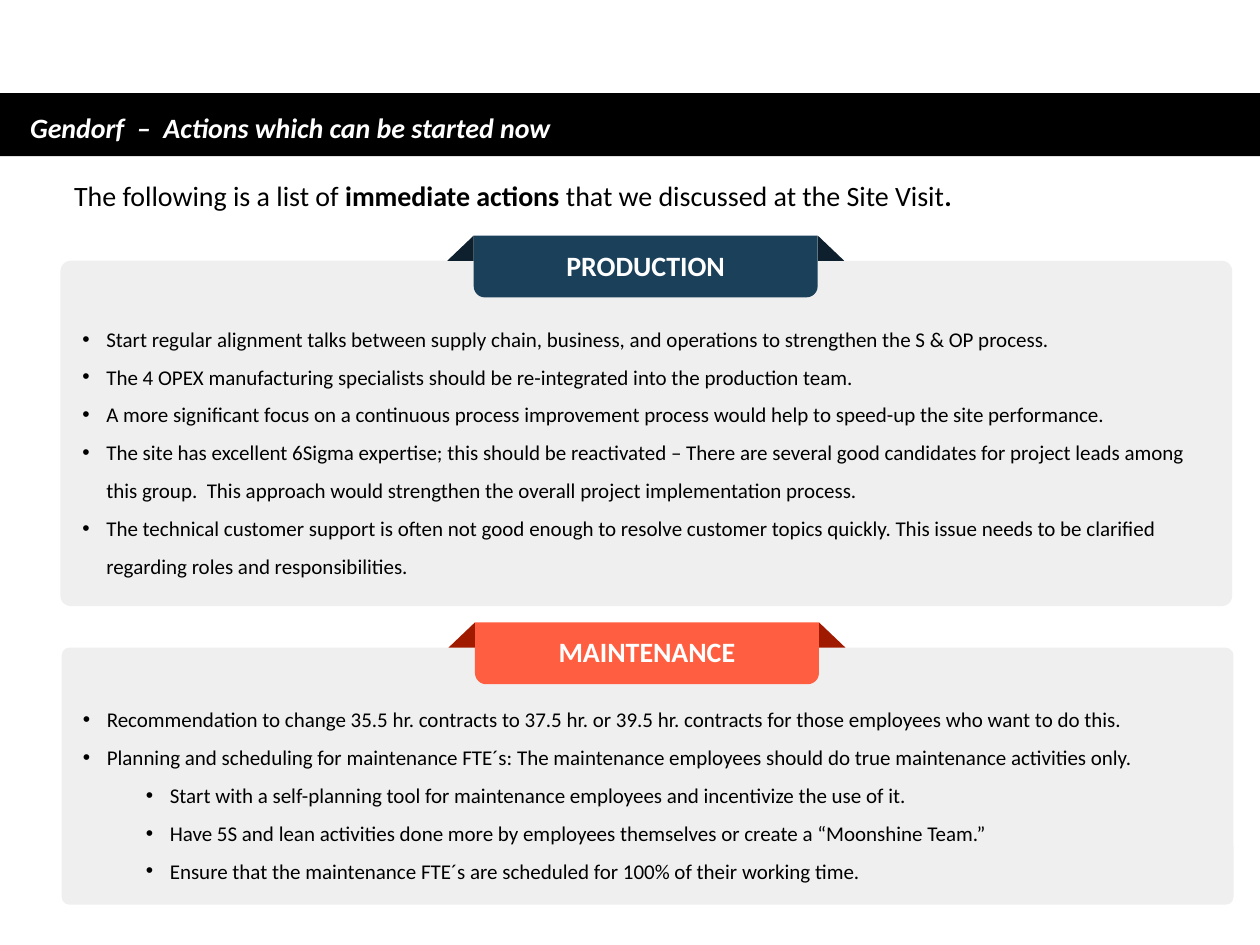
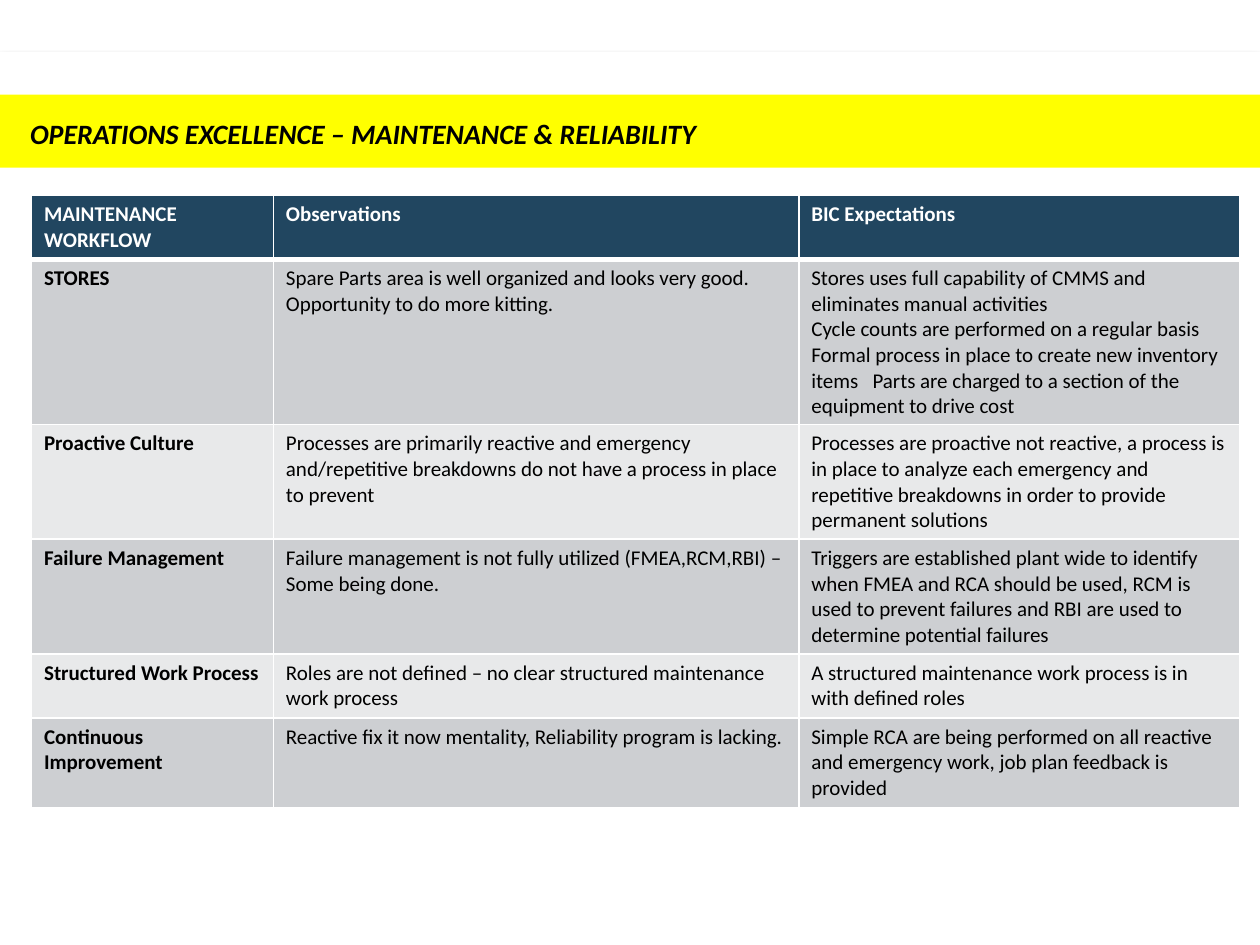
from lxml import etree
from pptx import Presentation
from pptx.dml.color import RGBColor
from pptx.enum.shapes import MSO_SHAPE
from pptx.enum.text import MSO_ANCHOR, PP_ALIGN
from pptx.oxml.ns import qn
from pptx.util import Inches, Pt

FONT = "Calibri"
BLACK = RGBColor(0x00, 0x00, 0x00)
WHITE = RGBColor(0xFF, 0xFF, 0xFF)
YELLOW = RGBColor(0xFF, 0xFF, 0x00)
CARD_GREY = RGBColor(0xEF, 0xEF, 0xEF)
NAVY = RGBColor(0x1B, 0x40, 0x5A)
NAVY_FOLD = RGBColor(0x0E, 0x20, 0x2D)
CORAL = RGBColor(0xFF, 0x5F, 0x40)
CORAL_FOLD = RGBColor(0xA0, 0x1A, 0x00)
HEADER_BLUE = RGBColor(0x21, 0x46, 0x60)
ROW_DARK = RGBColor(0xCD, 0xCF, 0xD2)
ROW_LIGHT = RGBColor(0xE8, 0xE9, 0xEA)


def add_block(shapes, preset, left, top, width, height, color):
    """Add a flat, unlined preset shape."""
    block = shapes.add_shape(preset, Inches(left), Inches(top), Inches(width), Inches(height))
    block.shadow.inherit = False
    block.fill.solid()
    block.fill.fore_color.rgb = color
    block.line.fill.background()
    return block


def style(para, size, color, bold=False, italic=False):
    """Set the font of a whole paragraph."""
    para.font.name = FONT
    para.font.size = Pt(size)
    para.font.color.rgb = color
    para.font.bold = bold
    para.font.italic = italic


deck = Presentation()
deck.slide_width = Inches(10)
deck.slide_height = Inches(7.5)
actions_page, table_page = [deck.slides.add_slide(deck.slide_layouts[6]) for _ in range(2)]

# White panel with a soft shadow behind the table page
panel = add_block(table_page.shapes, MSO_SHAPE.RECTANGLE, 0, 0.42, 10, 7.07, WHITE)
panel.line.color.rgb = WHITE
panel.line.width = Pt(1)
effects = panel._element.spPr.find(qn("a:effectLst"))
shadow = etree.SubElement(effects, qn("a:outerShdw"), blurRad=str(Pt(4)), dist=str(Pt(3)),
                          dir="5400000", rotWithShape="0")
shade = etree.SubElement(shadow, qn("a:srgbClr"), val=str(BLACK))
etree.SubElement(shade, qn("a:alpha"), val="40000")

# Title bands
titles = [
    (actions_page, "Gendorf  –  Actions which can be started now", 0.74, 0.5, 0.83, BLACK, WHITE),
    (table_page, "OPERATIONS EXCELLENCE – MAINTENANCE & RELIABILITY", 0.75, 0.58, 0.88, YELLOW, BLACK),
]
for page, title, band_top, band_height, title_top, band_color, title_color in titles:
    add_block(page.shapes, MSO_SHAPE.RECTANGLE, 0, band_top, 10, band_height, band_color)
    box = page.shapes.add_textbox(Inches(0.14), Inches(title_top), Inches(9.17), Inches(0.37))
    box.text_frame.word_wrap = True
    para = box.text_frame.paragraphs[0]
    para.text = title
    style(para, 16, title_color, bold=True, italic=True)

# Lead sentence
box = actions_page.shapes.add_textbox(Inches(0.49), Inches(1.37), Inches(8.46), Inches(0.37))
box.text_frame.word_wrap = True
para = box.text_frame.paragraphs[0]
style(para, 16, BLACK)
for text, bold in [
    ("The following is a list of ", False),
    ("immediate actions ", True),
    ("that we discussed at the Site Visit", False),
    (".", True),
]:
    span = para.add_run()
    span.text = text
    span.font.bold = bold

# Action cards: name, left, top, height, ribbon colour, fold colour, (level, text) items
cards = [
    ("PRODUCTION", 0.48, 2.07, 2.74, NAVY, NAVY_FOLD, [
        (0, "Start regular alignment talks between supply chain, business, and operations to "
            "strengthen the S & OP process."),
        (0, "The 4 OPEX manufacturing specialists should be re-integrated into the production team."),
        (0, "A more significant focus on a continuous process improvement process would help to "
            "speed-up the site performance."),
        (0, "The site has excellent 6Sigma expertise; this should be reactivated – There are several "
            "good candidates for project leads among this group.  This approach would strengthen "
            "the overall project implementation process."),
        (0, "The technical customer support is often not good enough to resolve customer topics "
            "quickly. This issue needs to be clarified regarding roles and responsibilities."),
    ]),
    ("MAINTENANCE", 0.49, 5.14, 2.04, CORAL, CORAL_FOLD, [
        (0, "Recommendation to change 35.5 hr. contracts to 37.5 hr. or 39.5 hr. contracts for "
            "those employees who want to do this."),
        (0, "Planning and scheduling for maintenance FTE´s: The maintenance employees should do "
            "true maintenance activities only."),
        (1, "Start with a self-planning tool for maintenance employees and incentivize the use of it."),
        (1, "Have 5S and lean activities done more by employees themselves or create a "
            "“Moonshine Team.”"),
        (1, "Ensure that the maintenance FTE´s are scheduled for 100% of their working time."),
    ]),
]
RIBBON_WIDTH, FOLD_WIDTH, FOLD_HEIGHT = 2.73, 0.21, 0.2
for name, left, top, height, ribbon_color, fold_color, items in cards:
    group = actions_page.shapes.add_group_shape()

    # Card with bullets
    card = add_block(group.shapes, MSO_SHAPE.ROUNDED_RECTANGLE, left, top, 9.3, height, CARD_GREY)
    card.adjustments[0] = 0.03
    frame = card.text_frame
    frame.word_wrap = True
    frame.vertical_anchor = MSO_ANCHOR.MIDDLE
    frame.margin_left = frame.margin_right = Inches(0.15)
    frame.margin_top, frame.margin_bottom = Inches(0.3), Inches(0.1)
    for index, (level, text) in enumerate(items):
        para = frame.add_paragraph() if index else frame.paragraphs[0]
        para.text = text
        para.level = level
        para.alignment = PP_ALIGN.LEFT
        para.line_spacing = 1.5
        props = para._p.get_or_add_pPr()
        props.set("marL", str(Inches(0.19 + 0.5 * level)))
        props.set("indent", str(Inches(-0.19)))
        etree.SubElement(props, qn("a:buFont"), typeface="Arial")
        etree.SubElement(props, qn("a:buChar"), char="•")
        style(para, 12, BLACK)

    # Ribbon with a fold on each side
    ribbon_left, ribbon_top = left + 3.28, top - FOLD_HEIGHT
    ribbon = add_block(group.shapes, MSO_SHAPE.ROUND_2_SAME_RECTANGLE, ribbon_left, ribbon_top,
                       RIBBON_WIDTH, 0.49, ribbon_color)
    ribbon.adjustments[0] = 0
    ribbon.adjustments[1] = 0.18
    ribbon.text_frame.vertical_anchor = MSO_ANCHOR.MIDDLE
    para = ribbon.text_frame.paragraphs[0]
    para.text = name
    para.alignment = PP_ALIGN.CENTER
    style(para, 16, WHITE, bold=True)
    for fold_left, flipped in [(ribbon_left - FOLD_WIDTH, True), (ribbon_left + RIBBON_WIDTH, False)]:
        fold = add_block(group.shapes, MSO_SHAPE.RIGHT_TRIANGLE, fold_left, ribbon_top,
                         FOLD_WIDTH, FOLD_HEIGHT, fold_color)
        if flipped:
            fold._element.spPr.find(qn("a:xfrm")).set("flipH", "1")

# Maintenance table
rows = [
    ("MAINTENANCE WORKFLOW", "Observations", "BIC Expectations"),
    ("STORES",
     "Spare Parts area is well organized and looks very good.\nOpportunity to do more kitting.",
     "Stores uses full capability of CMMS and eliminates manual activities\n"
     "Cycle counts are performed on a regular basis\n"
     "Formal process in place to create new inventory items   Parts are charged to a section "
     "of the equipment to drive cost"),
    ("Proactive Culture",
     "Processes are primarily reactive and emergency and/repetitive breakdowns do not have a "
     "process in place to prevent",
     "Processes are proactive not reactive, a process is in place to analyze each emergency and "
     "repetitive breakdowns in order to provide permanent solutions"),
    ("Failure Management",
     "Failure management is not fully utilized (FMEA,RCM,RBI) – Some being done.",
     "Triggers are established plant wide to identify when FMEA and RCA should be used, RCM is "
     "used to prevent failures and RBI are used to determine potential failures"),
    ("Structured Work Process",
     "Roles are not defined – no clear structured maintenance work process",
     "A structured maintenance work process is in with defined roles"),
    ("Continuous Improvement",
     "Reactive fix it now mentality, Reliability program is lacking.",
     "Simple RCA are being performed on all reactive and emergency work, job plan feedback is "
     "provided"),
]
column_widths = [1.92, 4.17, 3.5]
row_heights = [0.51, 1.31, 0.91, 0.91, 0.51, 0.71]
table = table_page.shapes.add_table(len(rows), len(column_widths), Inches(0.25), Inches(1.55),
                                    Inches(sum(column_widths)), Inches(sum(row_heights))).table
for column, width in zip(table.columns, column_widths):
    column.width = Inches(width)
for row, height in zip(table.rows, row_heights):
    row.height = Inches(height)

for r, texts in enumerate(rows):
    for c, text in enumerate(texts):
        cell = table.cell(r, c)
        cell.text = text
        for para in cell.text_frame.paragraphs:
            style(para, 12, BLACK if r else WHITE, bold=r == 0 or c == 0)
        cell.fill.solid()
        cell.fill.fore_color.rgb = HEADER_BLUE if r == 0 else ROW_DARK if r % 2 else ROW_LIGHT

        # White borders, heavier under the header
        props = cell._tc.get_or_add_tcPr()
        for position, side in enumerate(["lnL", "lnR", "lnT", "lnB"]):
            heavy = (r, side) in [(0, "lnB"), (1, "lnT")]
            border = etree.Element(qn(f"a:{side}"), w=str(Pt(3 if heavy else 1)))
            paint = etree.SubElement(border, qn("a:solidFill"))
            etree.SubElement(paint, qn("a:srgbClr"), val=str(WHITE))
            props.insert(position, border)

deck.save("out.pptx")
